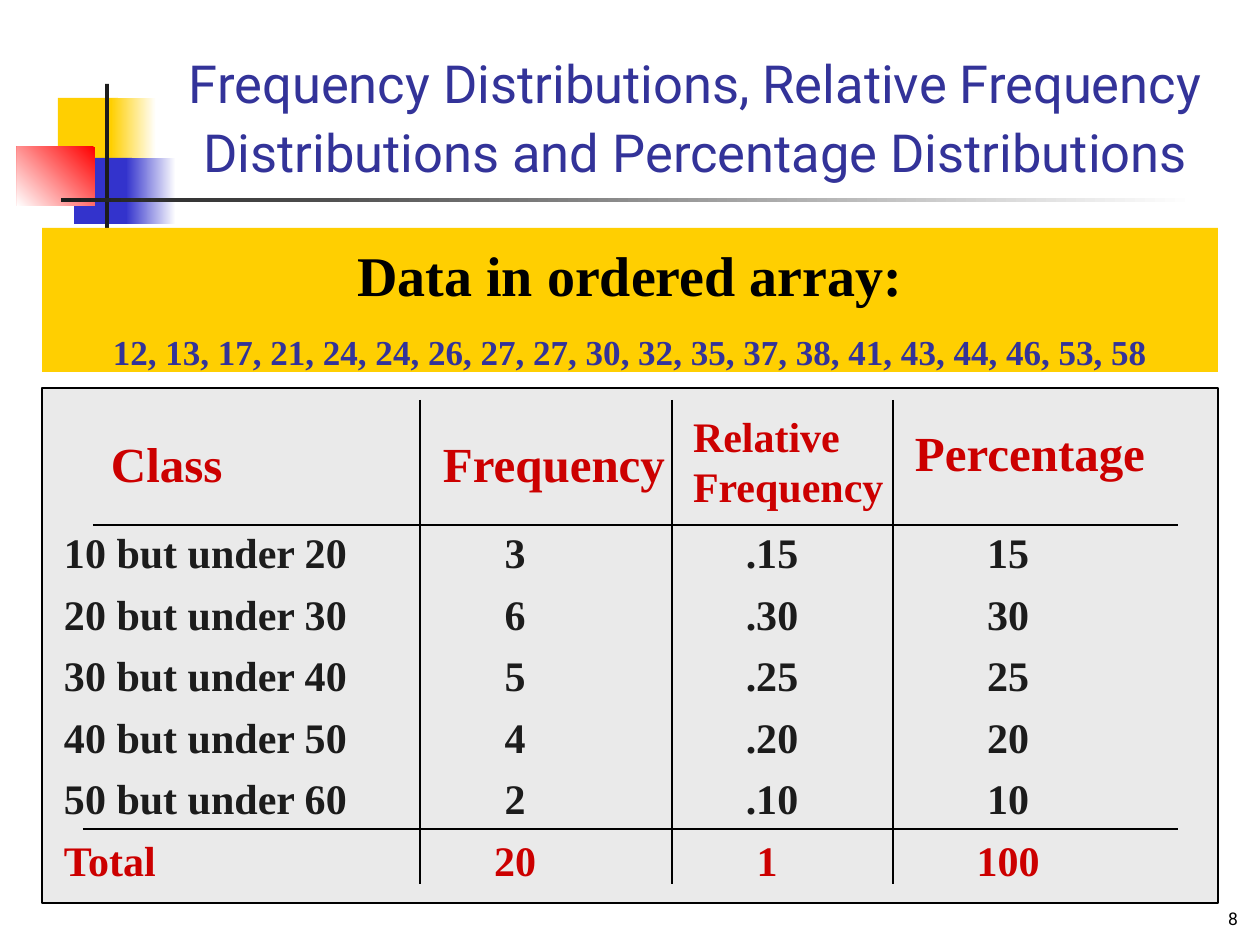
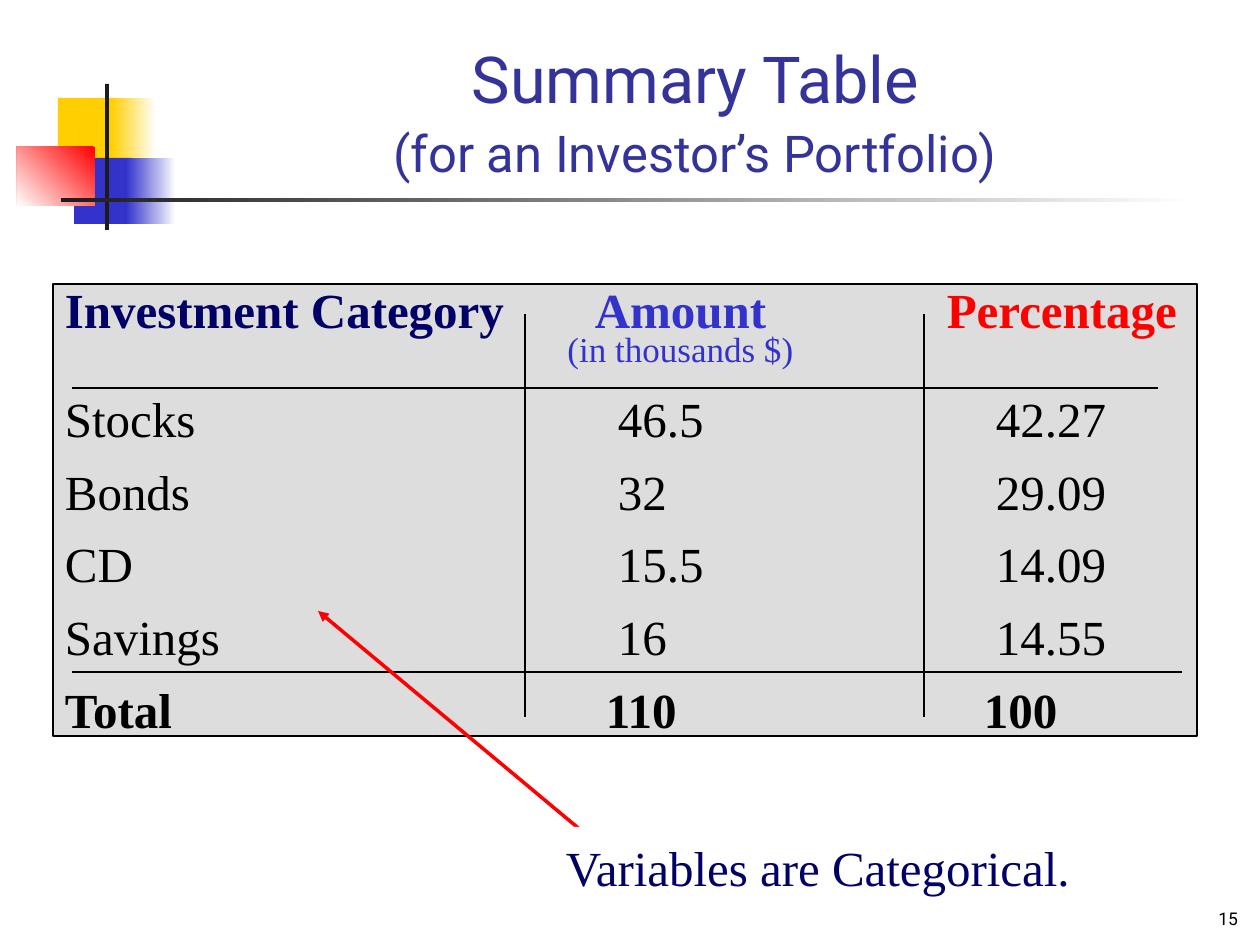
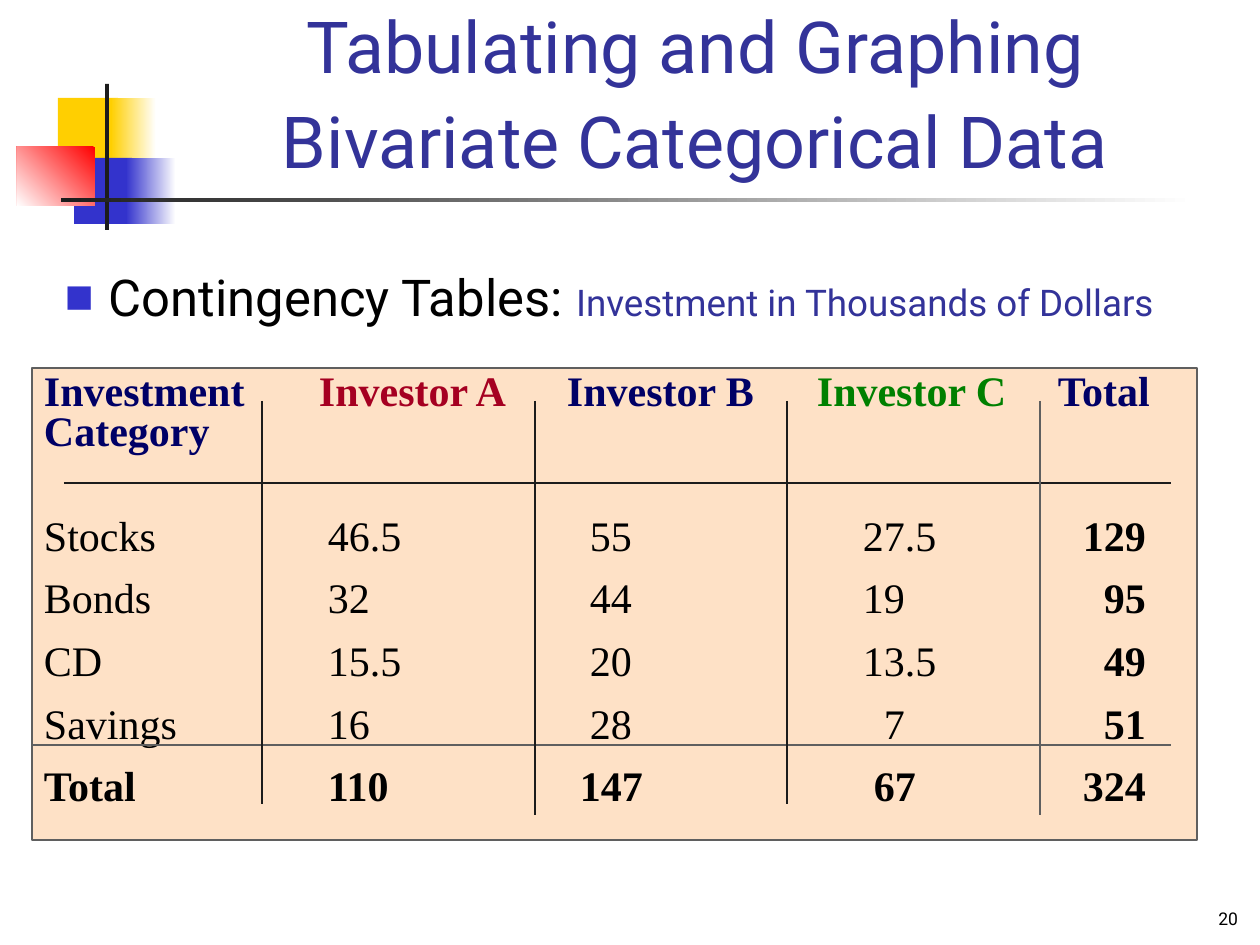
import pptx
import pptx.util
import pptx.dml.color
import pptx.enum.shapes
import pptx.enum.text
import pptx.oxml
import pptx.oxml.ns

RGB = pptx.dml.color.RGBColor
BLACK = RGB(0x00, 0x00, 0x00)
WHITE = RGB(0xFF, 0xFF, 0xFF)
INK = RGB(0x1C, 0x1C, 0x1C)
GREY = RGB(0x5F, 0x5F, 0x5F)
SILVER = RGB(0xEA, 0xEA, 0xEA)
ASH = RGB(0xDD, 0xDD, 0xDD)
PEACH = RGB(0xFE, 0xE1, 0xC6)
GOLD = RGB(0xFF, 0xCF, 0x01)
BLUE = RGB(0x33, 0x33, 0xCC)
INDIGO = RGB(0x33, 0x33, 0x99)
NAVY = RGB(0x00, 0x00, 0x66)
RED = RGB(0xFF, 0x00, 0x00)
BRICK = RGB(0xCC, 0x00, 0x00)
WINE = RGB(0xA5, 0x00, 0x21)
GREEN = RGB(0x00, 0x80, 0x00)

SANS, SERIF = "Roboto", "Times New Roman"
LEFT = pptx.enum.text.PP_ALIGN.LEFT
MID = pptx.enum.text.PP_ALIGN.CENTER
RIGHT = pptx.enum.text.PP_ALIGN.RIGHT
TOP = pptx.enum.text.MSO_ANCHOR.TOP
MIDDLE = pptx.enum.text.MSO_ANCHOR.MIDDLE
BOTTOM = pptx.enum.text.MSO_ANCHOR.BOTTOM
PLAIN = "{2D5ABB26-0587-4C30-8999-92F81FD0307C}"

# box, colours, angle
DECOR = [
    ((58, 98, 60, 66), [GOLD], 0),
    ((111, 98, 45, 66), [WHITE, GOLD], 180),
    ((74, 158, 58, 66), [BLUE], 0),
    ((126, 158, 50, 66), [WHITE, BLUE], 180),
    ((17, 147, 78, 59), [RED, WHITE], 225),
    ((105, 84, 4, 146), [INK], 0),
    ((61, 198, 1134, 4), [WHITE, INK], 180),
]

TITLES = [
    (["Frequency Distributions, Relative Frequency Distributions and Percentage Distributions"], 30, "8"),
    ([[("Summary Table\n", {}), ("(for an Investor’s Portfolio)", {"size": 29})]], 37, "15"),
    (["Tabulating and Graphing Bivariate Categorical Data"], 41, "20"),
]

ARRAY = [
    "Data in ordered array:",
    [("12, 13, 17, 21, 24, 24, 26, 27, 27, 30, 32, 35, 37, 38, 41, 43, 44, 46, 53, 58",
      {"size": 20, "color": INDIGO})],
]
NOTE = ["Variables are Categorical."]
TOPIC = [[("Contingency Tables: ", {}),
          ("Investment in Thousands of Dollars", {"size": 21, "color": INDIGO})]]

CLASSES = {
    "panel": (42, 388, 1176, 515), "fill": SILVER, "line": BLACK,
    "edges": [42, 420, 672, 893, 1218], "body": (524, 893), "size": 24, "lead": 1,
    "heads": [
        (["Class"], LEFT, 69, 0, 51, 28, BRICK),
        (["Frequency"], LEFT, 23, 0, 51, 28, BRICK),
        (["Relative", "Frequency"], LEFT, 21, 0, 27, 24, BRICK),
        (["Percentage"], LEFT, 22, 0, 40, 28, BRICK),
    ],
    "cols": [(LEFT, 22, 0, True), (MID, 20, 82, True), (MID, 20, 41, True), (MID, 20, 115, True)],
    "rows": [
        ["10 but under 20", "3", ".15", "15"],
        ["20 but under 30", "6", ".30", "30"],
        ["30 but under 40", "5", ".25", "25"],
        ["40 but under 50", "4", ".20", "20"],
        ["50 but under 60", "2", ".10", "10"],
        ["Total", "20", ("1", -10), "100"],
    ],
    "color": INK, "foot": BRICK,
    "rules": [(93, 525, 1178, 525, BLACK), (83, 829, 1178, 829, BLACK)]
    + [(x, 400, x, 884, BLACK) for x in (420, 672, 893)],
}

FUNDS = {
    "panel": (53, 284, 1144, 452), "fill": ASH, "line": BLACK,
    "edges": [53, 525, 924, 1197], "body": (384, 749), "size": 28, "lead": 0.8,
    "heads": [
        (["Investment Category"], LEFT, 12, 0, 10, 28, NAVY),
        (["Amount", [("(in thousands $)", {"size": 20, "bold": False})]], MID, 0, 88, 10, 28, BLUE),
        (["Percentage"], LEFT, 23, 0, 10, 28, RED),
    ],
    "cols": [(LEFT, 12, 0, False), (LEFT, 93, 0, False), (LEFT, 72, 0, False)],
    "rows": [
        ["Stocks", "46.5", "42.27"],
        ["Bonds", "32", "29.09"],
        ["CD", "15.5", "14.09"],
        ["Savings", "16", "14.55"],
        ["Total", ("110", -12), ("100", -12)],
    ],
    "color": BLACK, "foot": BLACK,
    "rules": [(72, 388, 1158, 388, BLACK), (72, 672, 1182, 672, BLACK)]
    + [(x, 314, x, 717, BLACK) for x in (525, 924)],
}

CROSS = {
    "panel": (32, 368, 1165, 472), "fill": PEACH, "line": GREY,
    "edges": [32, 262, 535, 787, 1040, 1197], "body": (506, 819), "size": 24, "lead": 0.85,
    "heads": [
        (["Investment", "Category"], LEFT, 12, 0, 7, 24, NAVY),
        (["Investor A"], LEFT, 57, 0, 7, 24, WINE),
        (["Investor B"], LEFT, 32, 0, 7, 24, NAVY),
        (["Investor C"], LEFT, 30, 0, 7, 24, GREEN),
        (["Total"], LEFT, 18, 0, 7, 24, NAVY),
    ],
    "cols": [(LEFT, 12, 0, False), (LEFT, 66, 0, False), (LEFT, 55, 0, False),
             (LEFT, 76, 0, False), (RIGHT, 0, 51, True)],
    "rows": [
        ["Stocks", "46.5", "55", "27.5", "129"],
        ["Bonds", "32", "44", "19", "95"],
        ["CD", "15.5", "20", "13.5", "49"],
        ["Savings", "16", "28", ("7", 21), "51"],
        ["Total", "110", ("147", -10), ("67", 11), "324"],
    ],
    "color": BLACK, "foot": BLACK,
    "rules": [(64, 483, 1171, 483, INK), (32, 745, 1171, 745, GREY)]
    + [(x, 401, x, end, tint) for x, end, tint in
       ((262, 804, INK), (535, 815, INK), (787, 804, INK), (1040, 815, GREY))],
}


def px(n):
    return pptx.util.Emu(round(n * 914400 / 126))


def write(frame, paras, align=LEFT, lead=1, gap=0, **base):
    for i, para in enumerate(paras):
        p = frame.add_paragraph() if i else frame.paragraphs[0]
        p.alignment = align
        p.line_spacing = lead
        p.space_before = pptx.util.Pt(gap if i else 0)
        for words, extra in [(para, {})] if isinstance(para, str) else para:
            look = {"face": SERIF, "bold": False, "color": BLACK, **base, **extra}
            run = p.add_run()
            run.text = words.rstrip("\n")
            run.font.name = look["face"]
            run.font.size = pptx.util.Pt(look["size"])
            run.font.bold = look["bold"]
            run.font.color.rgb = look["color"]
            if words.endswith("\n"):
                p.add_line_break()


def place(shape, box):
    shape.left, shape.top, shape.width, shape.height = map(px, box)


def inset(part, left=12, top=6, right=12, bottom=6):
    part.margin_left, part.margin_top = px(left), px(top)
    part.margin_right, part.margin_bottom = px(right), px(bottom)


def set_up(frame, anchor=TOP, **sides):
    frame.word_wrap = True
    frame.auto_size = pptx.enum.text.MSO_AUTO_SIZE.NONE
    frame.vertical_anchor = anchor
    inset(frame, **sides)
    return frame


def block(slide, box, fills, angle=0, line=None):
    shape = slide.shapes.add_shape(pptx.enum.shapes.MSO_SHAPE.RECTANGLE, *map(px, box))
    shape.shadow.inherit = False
    if len(fills) == 1:
        shape.fill.solid()
        shape.fill.fore_color.rgb = fills[0]
    else:
        shape.fill.gradient()
        shape.fill.gradient_angle = angle
        for stop, tint, spot in zip(shape.fill.gradient_stops, fills, (0, 1)):
            stop.color.rgb = tint
            stop.position = spot
    if line is None:
        shape.line.fill.background()
    else:
        shape.line.color.rgb = line
        shape.line.width = pptx.util.Pt(1)
    return shape


def text_box(slide, box, anchor=TOP):
    return set_up(slide.shapes.add_textbox(*map(px, box)).text_frame, anchor)


def add_xml(parent, tag, **attrs):
    node = pptx.oxml.parse_xml("<a:%s %s/>" % (tag, pptx.oxml.ns.nsdecls("a")))
    for key, value in attrs.items():
        node.set(key, value)
    parent.append(node)
    return node


def rule(slide, x1, y1, x2, y2, color, width=1, arrow=False):
    line = slide.shapes.add_connector(pptx.enum.shapes.MSO_CONNECTOR.STRAIGHT,
                                      px(x1), px(y1), px(x2), px(y2))
    line.line.color.rgb = color
    line.line.width = pptx.util.Pt(width)
    if arrow:
        add_xml(line.line._get_or_add_ln(), "tailEnd", type="triangle")
    add_xml(line.element.spPr, "effectLst")


def grid(slide, data):
    block(slide, data["panel"], [data["fill"]], line=data["line"])
    edges, rows, top = data["edges"], data["rows"], data["panel"][1]
    start, end = data["body"]
    frame = slide.shapes.add_table(len(rows) + 1, len(edges) - 1, px(edges[0]), px(top),
                                   px(edges[-1] - edges[0]), px(end - top))
    table = frame.table
    table.first_row = table.horz_banding = False
    table._tbl.tblPr.find(pptx.oxml.ns.qn("a:tableStyleId")).text = PLAIN
    for col, (a, b) in zip(table.columns, zip(edges, edges[1:])):
        col.width = px(b - a)
    for i, row in enumerate(table.rows):
        row.height = px((end - start) / len(rows) if i else start - top)
    for c, (paras, align, left, right, drop, size, color) in enumerate(data["heads"]):
        cell = table.cell(0, c)
        cell.fill.background()
        cell.vertical_anchor = TOP
        inset(cell, left, drop, right, 0)
        write(cell.text_frame, paras, align=align, lead=data["lead"],
              gap=2 if data["lead"] == 1 else 0, size=size, color=color, bold=True)
    for r, row in enumerate(rows, 1):
        last = r == len(rows)
        for c, (item, (align, left, right, bold)) in enumerate(zip(row, data["cols"])):
            words, shift = (item, 0) if isinstance(item, str) else item
            cell = table.cell(r, c)
            cell.fill.background()
            cell.vertical_anchor = MIDDLE
            inset(cell, left + shift, 0, right, 0)
            write(cell.text_frame, [words], align=align, size=data["size"],
                  bold=bold or last, color=data["foot" if last else "color"])
    for line in data["rules"]:
        rule(slide, *line)


def start(deck, title, size, number):
    slide = deck.slides.add_slide(deck.slide_layouts[5])
    for box, fills, angle in DECOR:
        block(slide, box, fills, angle)
    head = slide.shapes.title
    place(head, (159, 32, 1073, 157))
    write(set_up(head.text_frame, BOTTOM), title, align=MID, lead=1.1,
          size=size, face=SANS, color=INDIGO)
    write(text_box(slide, (988, 871, 262, 64), BOTTOM), [number],
          align=RIGHT, size=10, face=SANS)
    return slide


def bullet(para, indent):
    props = para._p.get_or_add_pPr()
    props.set("marL", str(px(indent)))
    props.set("indent", str(-px(indent)))
    add_xml(add_xml(props, "buClr"), "srgbClr", val=str(BLUE))
    add_xml(props, "buSzPct", val="60000")
    add_xml(props, "buFont", typeface=SANS)
    add_xml(props, "buChar", char="■")


def main():
    deck = pptx.Presentation()
    deck.slide_width, deck.slide_height = px(1260), px(945)
    first, second, third = [start(deck, *item) for item in TITLES]

    grid(first, CLASSES)
    band = block(first, (42, 228, 1176, 144), [GOLD])
    write(set_up(band.text_frame, top=13, bottom=0), ARRAY, align=MID, gap=12.5,
          size=32, bold=True)

    grid(second, FUNDS)
    rule(second, 625, 867, 318, 611, RED, width=2, arrow=True)
    label = block(second, (554, 827, 541, 70), [WHITE])
    write(set_up(label.text_frame, top=10), NOTE, size=28, color=NAVY)

    topic = text_box(third, (53, 260, 1207, 80))
    bullet(topic.paragraphs[0], 44)
    write(topic, TOPIC, size=29, face=SANS)
    grid(third, CROSS)

    deck.save("out.pptx")


if __name__ == "__main__":
    main()
